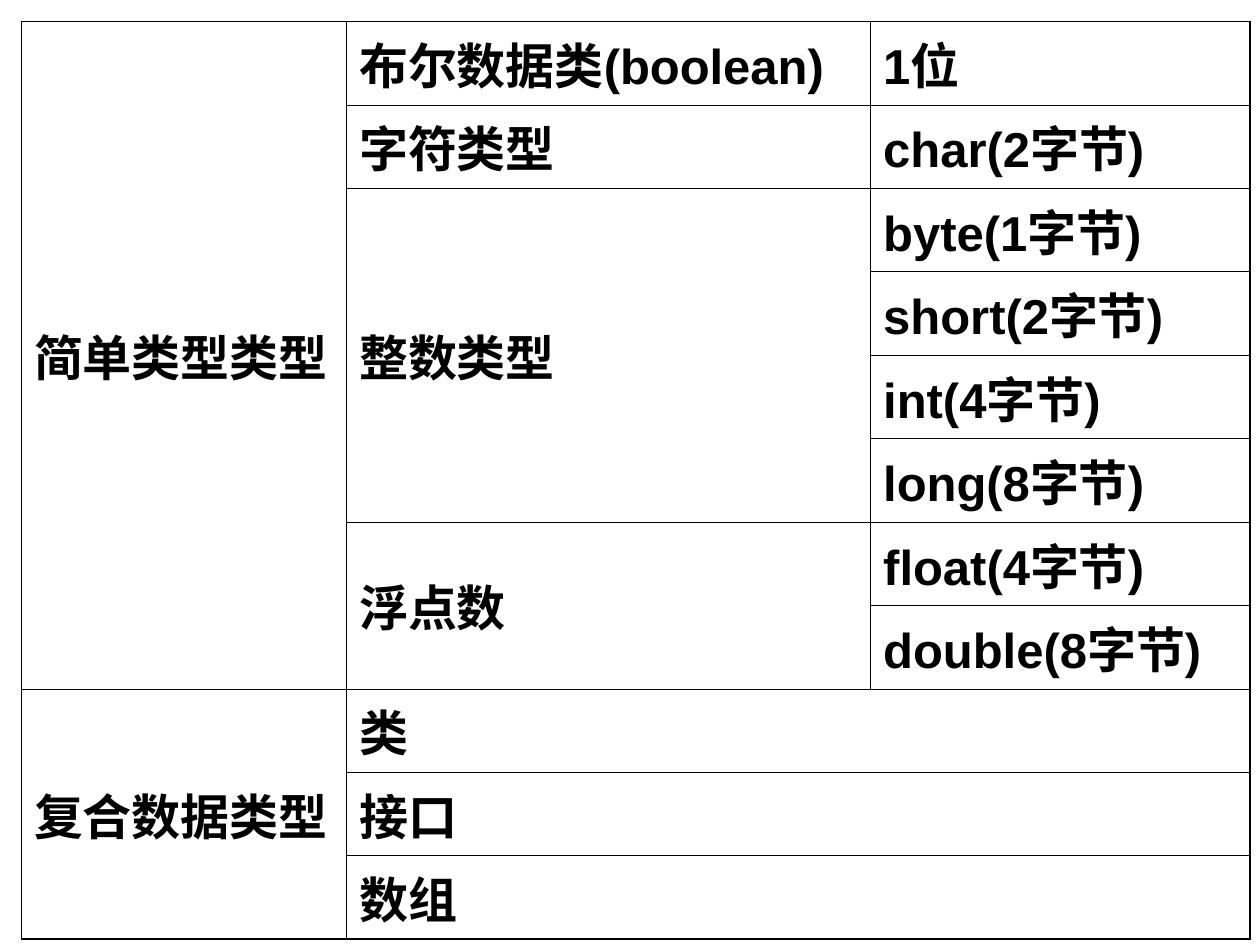
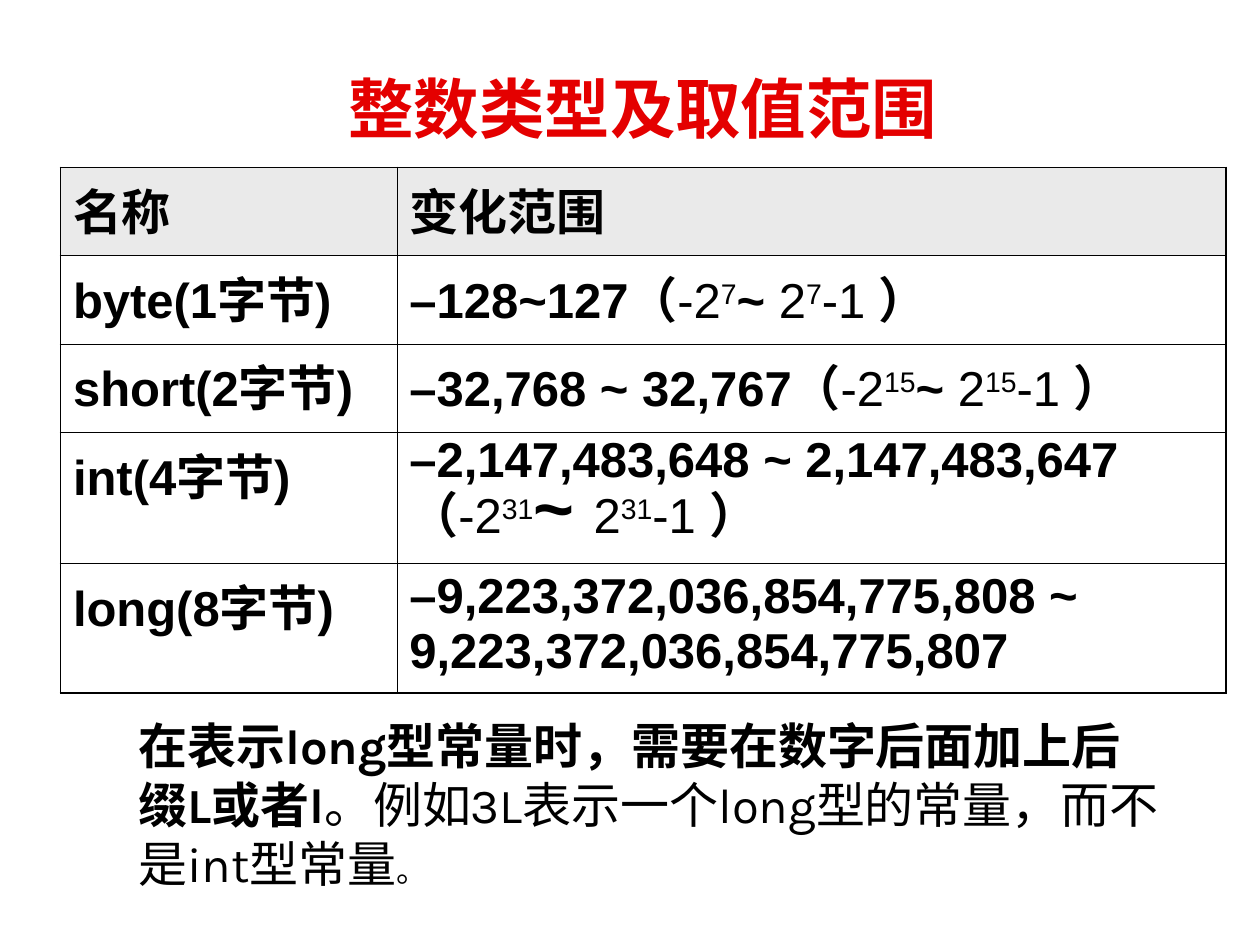
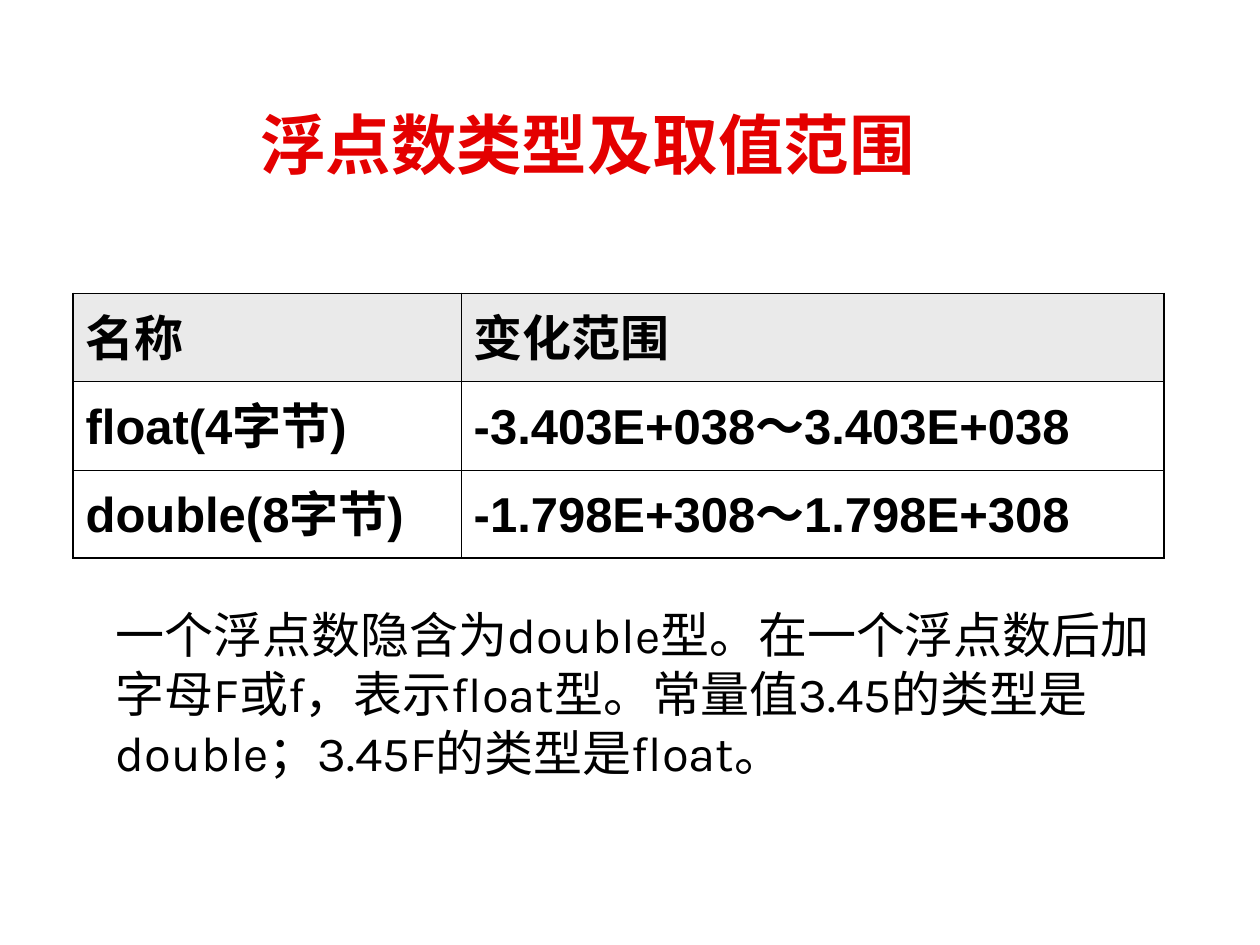
"""Build three slides on Java data types: overview, integer ranges, floating-point ranges."""
from itertools import product

from lxml.etree import SubElement
from pptx import Presentation
from pptx.dml.color import RGBColor
from pptx.enum.lang import MSO_LANGUAGE_ID as Language
from pptx.enum.text import MSO_ANCHOR as Anchor, MSO_AUTO_SIZE as AutoSize, PP_ALIGN as Align
from pptx.oxml.ns import qn
from pptx.util import Inches, Pt

BLACK = RGBColor(0x00, 0x00, 0x00)
RED = RGBColor(0xE4, 0x00, 0x00)
HEADER_GREY = RGBColor(0xEA, 0xEA, 0xEA)
TABLE_FONT, NOTE_FONT = "Arial", "Karla"
BODY_SIZE, TITLE_SIZE = 28, 37.4
OUTER_LINE, INNER_LINE = Pt(1.08), Pt(0.45)
NO_STYLE = "{2D5ABB26-0587-4C30-8999-92F81FD0307C}"
TITLE_ONLY, BLANK = 5, 6
PLAIN, RAISED = {"bold": False}, {"bold": False, "raised": True}


def power_range(exponent, tilde_size=BODY_SIZE):
    """Return the runs of a range between two powers of two."""
    return [("-2", PLAIN), (exponent, RAISED), ("~ ", {"size": tilde_size}),
            ("2", PLAIN), (exponent, RAISED), ("-1 ", PLAIN), ("）", {})]


CATEGORIES = [
    ("简单类型类型", [
        ("布尔数据类(boolean)", ["1位"]),
        ("字符类型", ["char(2字节)"]),
        ("整数类型", ["byte(1字节)", "short(2字节)", "int(4字节)", "long(8字节)"]),
        ("浮点数", ["float(4字节)", "double(8字节)"]),
    ]),
    ("复合数据类型", [("类", []), ("接口", []), ("数组", [])]),
]
HEADINGS = ("名称", "变化范围")
RANGE_SLIDES = [
    {
        "title": "整数类型及取值范围",
        "title_at": (1.19, 0.49),
        "table_at": (0.48, 1.33),
        "columns": (2.67, 6.58),
        "rows": (0.7, 0.7, 0.7, 1.04, 1.03),
        "ranges": [
            HEADINGS,
            ("byte(1字节)", [[("–128~127（", {}), *power_range("7")]]),
            ("short(2字节)", [[("–32,768 ~ 32,767（", {}), *power_range("15")]]),
            ("int(4字节)", [[("–2,147,483,648 ~ 2,147,483,647", {})],
                          [("（", {}), *power_range("31", 40)]]),
            ("long(8字节)", "–9,223,372,036,854,775,808 ~ 9,223,372,036,854,775,807"),
        ],
        "note": [("在表示long型常量时，需要在数字后面加上后缀L或者l", {}),
                 ("。例如3L表示一个long型的常量，而不是int型常量", PLAIN),
                 ("。", {"bold": False, "size": 18})],
        "note_at": (1, 5.63, 8.33, 1.5),
        "note_space": 11.2,
    },
    {
        "title": "浮点数类型及取值范围",
        "title_at": (0.75, 0.78),
        "table_at": (0.58, 2.33),
        "columns": (3.08, 5.58),
        "rows": (0.7, 0.7, 0.7),
        "ranges": [
            HEADINGS,
            ("float(4字节)", "-3.403E+038～3.403E+038"),
            ("double(8字节)", "-1.798E+308～1.798E+308"),
        ],
        "note": [("一个浮点数隐含为double型。在一个浮点数后加字母F或f，表示float型。"
                  "常量值3.45的类型是double；3.45F的类型是float。", PLAIN)],
        "note_at": (0.82, 4.75, 8.43, 1.5),
        "note_space": 17.5,
    },
]


def add_run(paragraph, text, font, color=BLACK, size=BODY_SIZE, bold=True, raised=False):
    run = paragraph.add_run()
    run.text = text
    run.font.name, run.font.size, run.font.bold = font, Pt(size), bold
    run.font.color.rgb = color
    run.font.language_id = Language.SIMPLIFIED_CHINESE
    if raised:
        run.font._element.set("baseline", "30000")


def fill_cell(cell, content):
    paragraphs = [[(content, {})]] if isinstance(content, str) else content
    frame = cell.text_frame
    for index, runs in enumerate(paragraphs):
        paragraph = frame.add_paragraph() if index else frame.paragraphs[0]
        paragraph.space_before = Pt(7)
        if len(paragraphs) > 1:
            paragraph.line_spacing = Pt(BODY_SIZE)
        for text, style in runs:
            add_run(paragraph, text, TABLE_FONT, **style)


def add_border(cell, side, width):
    line = SubElement(cell._tc.get_or_add_tcPr(), qn(f"a:ln{side}"), w=str(int(width)))
    solid = SubElement(line, qn("a:solidFill"))
    SubElement(solid, qn("a:srgbClr"), val=str(BLACK))


def add_grid(slide, at, columns, rows, blocks, has_header=False):
    """Draw a table whose blocks are (row, column, row span, column span, content)."""
    frame = slide.shapes.add_table(len(rows), len(columns), *map(Inches, at),
                                   Inches(sum(columns)), Inches(sum(rows)))
    table = frame.table
    table.first_row = table.horz_banding = False
    table._tbl.tblPr.find(qn("a:tableStyleId")).text = NO_STYLE
    for column, width in zip(table.columns, columns):
        column.width = Inches(width)
    for row, height in zip(table.rows, rows):
        row.height = Inches(height)
    for top, left, down, across, content in blocks:
        bottom, right = top + down, left + across
        origin = table.cell(top, left)
        if down * across > 1:
            origin.merge(table.cell(bottom - 1, right - 1))
        fill_cell(origin, content)
        origin.vertical_anchor = Anchor.MIDDLE if down > 1 else Anchor.TOP
        for r, c in product(range(top, bottom), range(left, right)):
            cell = table.cell(r, c)
            is_origin = (r, c) == (top, left)
            for side, on_edge, outer in (
                ("L", c == left, left == 0),
                ("R", c == right - 1, right == len(columns)),
                ("T", r == top, top == 0),
                ("B", r == bottom - 1, bottom == len(rows)),
            ):
                if is_origin or on_edge:
                    add_border(cell, side, OUTER_LINE if outer else INNER_LINE)
            if has_header and r == 0:
                cell.fill.solid()
                cell.fill.fore_color.rgb = HEADER_GREY
            else:
                cell.fill.background()


def category_blocks():
    row = 0
    for category, kinds in CATEGORIES:
        category_top = row
        for kind, members in kinds:
            span = max(len(members), 1)
            yield row, 1, span, 1 if members else 2, kind
            for offset, member in enumerate(members):
                yield row + offset, 2, 1, 1, member
            row += span
        yield category_top, 0, row - category_top, 1, category


def add_overview(deck):
    slide = deck.slides.add_slide(deck.slide_layouts[BLANK])
    blocks = list(category_blocks())
    row_count = max(top + down for top, _, down, _, _ in blocks)
    add_grid(slide, (0.17, 0.17), (2.58, 4.16, 3.01), [7.28 / row_count] * row_count, blocks)


def add_title(slide, text, at):
    title = slide.shapes.title
    title.left, title.top, title.width, title.height = map(Inches, (*at, 7.83, 0.72))
    frame = title.text_frame
    frame.auto_size, frame.word_wrap = AutoSize.NONE, True
    frame.vertical_anchor = Anchor.BOTTOM
    paragraph = frame.paragraphs[0]
    paragraph.alignment = Align.CENTER
    paragraph.space_before = Pt(0)
    add_run(paragraph, text, TABLE_FONT, RED, TITLE_SIZE)


def add_note(slide, runs, at, space):
    frame = slide.shapes.add_textbox(*map(Inches, at)).text_frame
    frame.word_wrap, frame.auto_size = True, AutoSize.SHAPE_TO_FIT_TEXT
    paragraph = frame.paragraphs[0]
    paragraph.space_before = Pt(space)
    for text, style in runs:
        add_run(paragraph, text, NOTE_FONT, **style)


def add_range_slide(deck, content):
    slide = deck.slides.add_slide(deck.slide_layouts[TITLE_ONLY])
    blocks = [(r, c, 1, 1, text) for r, row in enumerate(content["ranges"])
              for c, text in enumerate(row)]
    add_grid(slide, content["table_at"], content["columns"], content["rows"], blocks, True)
    add_title(slide, content["title"], content["title_at"])
    add_note(slide, content["note"], content["note_at"], content["note_space"])


def main():
    deck = Presentation()
    deck.slide_width, deck.slide_height = Inches(10), Inches(7.5)
    add_overview(deck)
    for content in RANGE_SLIDES:
        add_range_slide(deck, content)
    deck.save("out.pptx")


if __name__ == "__main__":
    main()
